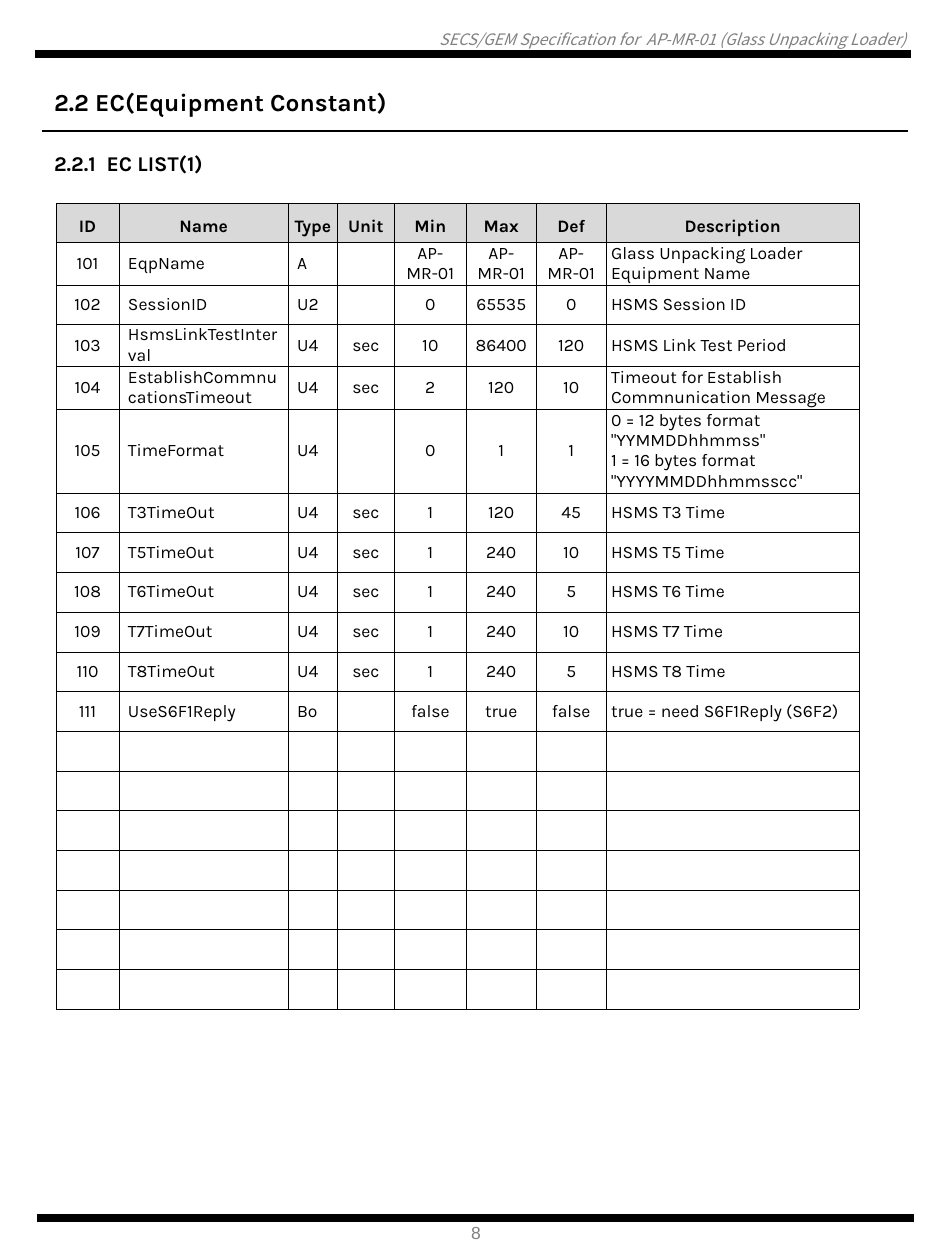
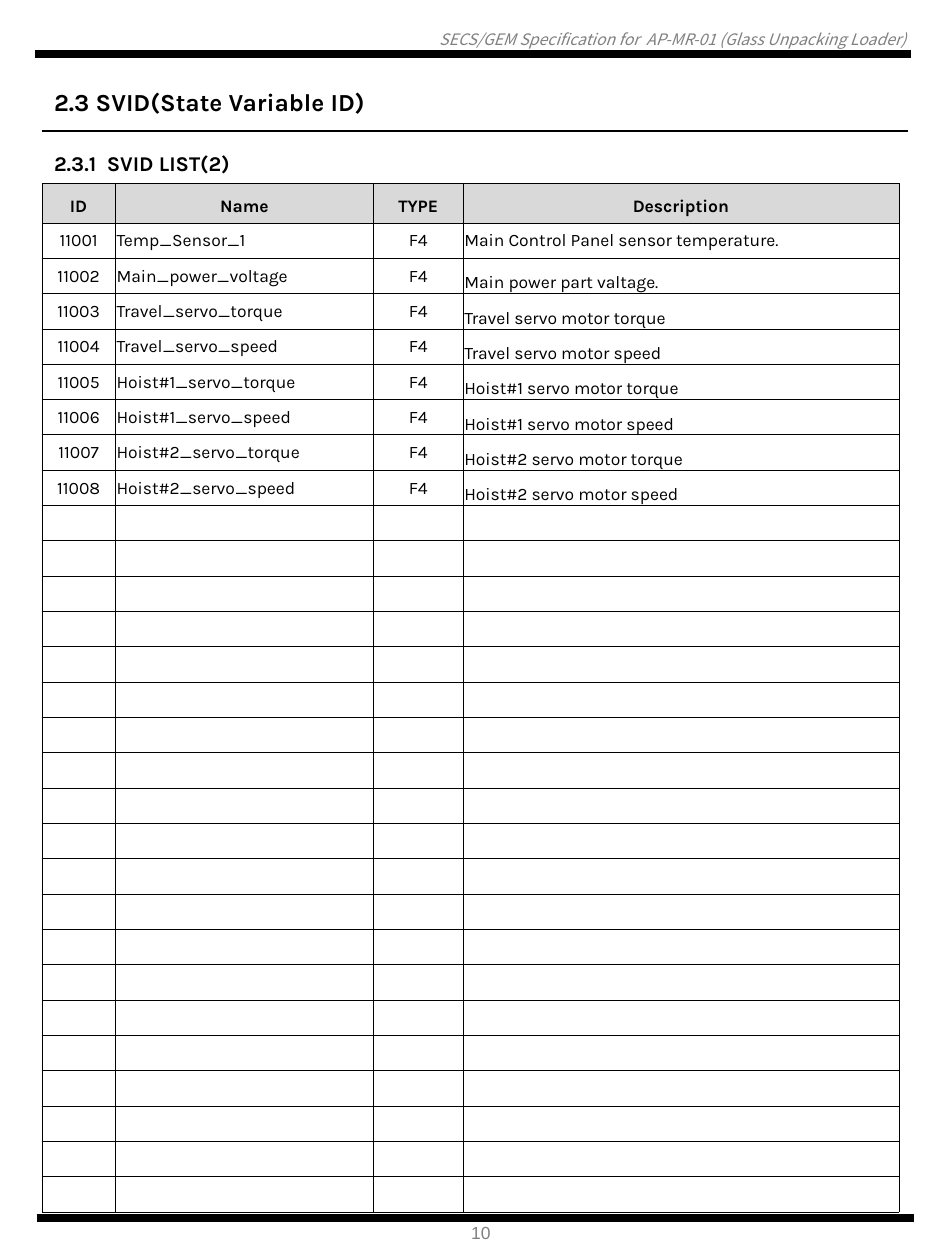
from dataclasses import dataclass

from lxml import etree
from pptx import Presentation
from pptx.dml.color import RGBColor
from pptx.enum.shapes import MSO_CONNECTOR
from pptx.enum.text import MSO_ANCHOR, PP_ALIGN
from pptx.oxml.ns import qn
from pptx.util import Cm, Pt

STRAIGHT = MSO_CONNECTOR.STRAIGHT
LEFT, CENTER, RIGHT = PP_ALIGN.LEFT, PP_ALIGN.CENTER, PP_ALIGN.RIGHT
TOP, MIDDLE, BOTTOM = MSO_ANCHOR.TOP, MSO_ANCHOR.MIDDLE, MSO_ANCHOR.BOTTOM


@dataclass(frozen=True)
class TextStyle:
    font: str
    size: float
    color: str = "000000"
    bold: bool = False
    italic: bool = False


@dataclass(frozen=True)
class Theme:
    black: str = "000000"
    header_fill: str = "D9D9D9"
    title: TextStyle = TextStyle("Karla", 14, bold=True)
    subtitle: TextStyle = TextStyle("Karla", 12, bold=True)
    column_title: TextStyle = TextStyle("Karla", 10, bold=True)
    body: TextStyle = TextStyle("Karla", 10)
    running_head: TextStyle = TextStyle("Noto Sans CJK KR", 9, "808080", italic=True)
    page_number: TextStyle = TextStyle("Arial", 10, "808080")
    band: float = 4.75
    rule: float = 0.75
    grid: float = 0.25
    header_spacing: float = 16


@dataclass(frozen=True)
class Column:
    """Margins are left, top, right and bottom, in centimetres."""
    title: str
    width: float
    align: PP_ALIGN
    margins: tuple


HEADER_MARGINS = (0, 0.1, 0, 0.1)
ID_MARGINS = (0.1, 0.1, 0.1, 0.1)
VALUE_MARGINS = (0.18, 0, 0.18, 0)
NOTE_MARGINS = (0.1, 0, 0, 0)
TIGHT_MARGINS = (0.03, 0.03, 0.03, 0)
INSETS = (0.25, 0.13, 0.25, 0.13)
HEADER_HEIGHT = 0.79

EC_COLUMNS = [
    Column("ID", 1.27, CENTER, ID_MARGINS),
    Column("Name", 3.41, LEFT, VALUE_MARGINS),
    Column("Type", 0.99, LEFT, VALUE_MARGINS),
    Column("Unit", 1.15, CENTER, VALUE_MARGINS),
    Column("Min", 1.45, CENTER, VALUE_MARGINS),
    Column("Max", 1.41, CENTER, VALUE_MARGINS),
    Column("Def", 1.41, CENTER, VALUE_MARGINS),
    Column("Description", 5.1, LEFT, NOTE_MARGINS),
]
# In a cell, \n starts a paragraph and \v breaks a line.
EC_ROWS = [
    ("101", "EqpName", "A", "", "AP-MR-01", "AP-MR-01", "AP-MR-01",
     "Glass Unpacking Loader Equipment Name"),
    ("102", "SessionID", "U2", "", "0", "65535", "0", "HSMS Session ID"),
    ("103", "HsmsLinkTestInterval", "U4", "sec", "10", "86400", "120",
     "HSMS Link Test Period"),
    ("104", "EstablishCommnucationsTimeout", "U4", "sec", "2", "120", "10",
     "Timeout for Establish\nCommnunication Message"),
    ("105", "TimeFormat", "U4", "", "0", "1", "1",
     '0 = 12 bytes format "YYMMDDhhmmss"\v1 = 16 bytes format "YYYYMMDDhhmmsscc"'),
    ("106", "T3TimeOut", "U4", "sec", "1", "120", "45", "HSMS T3 Time"),
    ("107", "T5TimeOut", "U4", "sec", "1", "240", "10", "HSMS T5 Time"),
    ("108", "T6TimeOut", "U4", "sec", "1", "240", "5", "HSMS T6 Time"),
    ("109", "T7TimeOut", "U4", "sec", "1", "240", "10", "HSMS T7 Time"),
    ("110", "T8TimeOut", "U4", "sec", "1", "240", "5", "HSMS T8 Time"),
    ("111", "UseS6F1Reply", "Bo", "", "false", "true", "false",
     "true = need S6F1Reply (S6F2)"),
]
EC_BLANK_ROWS = 7
EC_HEIGHTS = [0.85, 0.79, 0.86, 0.85, 1.69] + [0.8] * (6 + EC_BLANK_ROWS)

SVID_COLUMNS = [
    Column("ID", 1.47, CENTER, TIGHT_MARGINS),
    Column("Name", 5.21, LEFT, TIGHT_MARGINS),
    Column("TYPE", 1.8, CENTER, TIGHT_MARGINS),
    Column("Description", 8.79, LEFT, TIGHT_MARGINS),
]
SVID_ROWS = [
    ("11001", "Temp_Sensor_1", "F4", "Main Control Panel sensor temperature."),
    ("11002", "Main_power_voltage", "F4", "Main power part valtage."),
    ("11003", "Travel_servo_torque", "F4", "Travel servo motor torque"),
    ("11004", "Travel_servo_speed", "F4", "Travel servo motor speed"),
    ("11005", "Hoist#1_servo_torque", "F4", "Hoist#1 servo motor torque"),
    ("11006", "Hoist#1_servo_speed", "F4", "Hoist#1 servo motor speed"),
    ("11007", "Hoist#2_servo_torque", "F4", "Hoist#2 servo motor torque"),
    ("11008", "Hoist#2_servo_speed", "F4", "Hoist#2 servo motor speed"),
]
SVID_BLANK_ROWS = 20
SVID_BODY_HEIGHT = 19.95
SVID_ROW_COUNT = len(SVID_ROWS) + SVID_BLANK_ROWS
SVID_HEIGHTS = [SVID_BODY_HEIGHT / SVID_ROW_COUNT] * SVID_ROW_COUNT
SVID_BOTTOM_CELLS = {(row, 3) for row in range(2, len(SVID_ROWS) + 1)}


class SpecDeck:
    def __init__(self, theme):
        self.theme = theme
        self.deck = Presentation()
        self.deck.slide_width, self.deck.slide_height = Cm(19.05), Cm(25.4)
        self.slide = None

    def page(self, number, title, subtitle):
        """Start a page with its running head, bands, headings and number."""
        self.slide = self.deck.slides.add_slide(self.deck.slide_layouts[6])
        theme = self.theme
        self.text("SECS/GEM Specification for  AP-MR-01 (Glass Unpacking Loader)",
                  theme.running_head, 0.13, 0.61, 18.13, 0.38, RIGHT, (0, 0, 0, 0))
        self.line(0.71, 18.36, 1.09, theme.band)
        self.line(0.74, 18.42, 24.56, theme.band)
        self.text(number, theme.page_number, 9.25, 24.51, 0.94, 0.69)
        self.text(title, theme.title, 0.84, 1.63, 7.65, 0.86)
        self.line(0.84, 18.31, 2.64, theme.rule)
        self.text(subtitle, theme.subtitle, 0.84, 2.9, 4.7, 0.76)

    def add_runs(self, paragraph, text, style):
        for index, line in enumerate(text.split("\v")):
            if index:
                paragraph.add_line_break()
            run = paragraph.add_run()
            run.text = line
            font = run.font
            font.name, font.size = style.font, Pt(style.size)
            font.bold, font.italic = style.bold, style.italic
            font.color.rgb = RGBColor.from_string(style.color)

    def text(self, text, style, left, top, width, height, align=LEFT, insets=INSETS):
        box = self.slide.shapes.add_textbox(Cm(left), Cm(top), Cm(width), Cm(height))
        frame = box.text_frame
        frame.word_wrap = True
        frame.vertical_anchor = TOP
        (frame.margin_left, frame.margin_top,
         frame.margin_right, frame.margin_bottom) = map(Cm, insets)
        paragraph = frame.paragraphs[0]
        paragraph.alignment = align
        self.add_runs(paragraph, text, style)

    def line(self, start, end, y, weight):
        rule = self.slide.shapes.add_connector(STRAIGHT, Cm(start), Cm(y), Cm(end), Cm(y))
        rule.line.width = Pt(weight)
        rule.line.color.rgb = RGBColor.from_string(self.theme.black)
        etree.SubElement(rule._element.spPr, qn("a:effectLst"))

    def borders(self, cell):
        properties = cell._tc.get_or_add_tcPr()
        for side in ("a:lnL", "a:lnR", "a:lnT", "a:lnB"):
            edge = etree.SubElement(properties, qn(side), w=str(int(Pt(self.theme.grid))))
            fill = etree.SubElement(edge, qn("a:solidFill"))
            etree.SubElement(fill, qn("a:srgbClr"), val=self.theme.black)

    def cell(self, cell, text, style, align, margins, anchor=MIDDLE, spacing=None):
        self.borders(cell)
        cell.fill.background()
        (cell.margin_left, cell.margin_top,
         cell.margin_right, cell.margin_bottom) = map(Cm, margins)
        cell.vertical_anchor = anchor
        frame = cell.text_frame
        for index, part in enumerate(text.split("\n")):
            paragraph = frame.add_paragraph() if index else frame.paragraphs[0]
            paragraph.alignment = align
            if spacing:
                paragraph.line_spacing = Pt(spacing)
            if part:
                self.add_runs(paragraph, part, style)
            else:
                etree.SubElement(paragraph._p, qn("a:endParaRPr"),
                                 sz=str(style.size * 100))

    def table(self, left, top, columns, rows, heights, bottom_cells=frozenset()):
        """Lay out a titled grid; heights beyond the rows give blank rows."""
        width = sum(column.width for column in columns)
        height = HEADER_HEIGHT + sum(heights)
        grid = self.slide.shapes.add_table(
            len(heights) + 1, len(columns), Cm(left), Cm(top), Cm(width), Cm(height)).table
        grid.first_row = grid.horz_banding = False
        for row, row_height in zip(grid.rows, [HEADER_HEIGHT] + heights):
            row.height = Cm(row_height)
        theme = self.theme
        for c, column in enumerate(columns):
            grid.columns[c].width = Cm(column.width)
            head = grid.cell(0, c)
            self.cell(head, column.title, theme.column_title, CENTER,
                      HEADER_MARGINS, spacing=theme.header_spacing)
            head.fill.solid()
            head.fill.fore_color.rgb = RGBColor.from_string(theme.header_fill)
            for r in range(1, len(heights) + 1):
                value = rows[r - 1][c] if r <= len(rows) else ""
                anchor = BOTTOM if (r, c) in bottom_cells else MIDDLE
                self.cell(grid.cell(r, c), value, theme.body, column.align,
                          column.margins, anchor)


def main():
    spec_deck = SpecDeck(Theme())
    spec_deck.page("8", "2.2 EC(Equipment Constant)", "2.2.1  EC LIST(1)")
    spec_deck.table(1.13, 4.1, EC_COLUMNS, EC_ROWS, EC_HEIGHTS)
    spec_deck.page("10", "2.3 SVID(State Variable ID)", "2.3.1  SVID LIST(2)")
    spec_deck.table(0.85, 3.7, SVID_COLUMNS, SVID_ROWS, SVID_HEIGHTS, SVID_BOTTOM_CELLS)
    spec_deck.deck.save("out.pptx")


if __name__ == "__main__":
    main()
